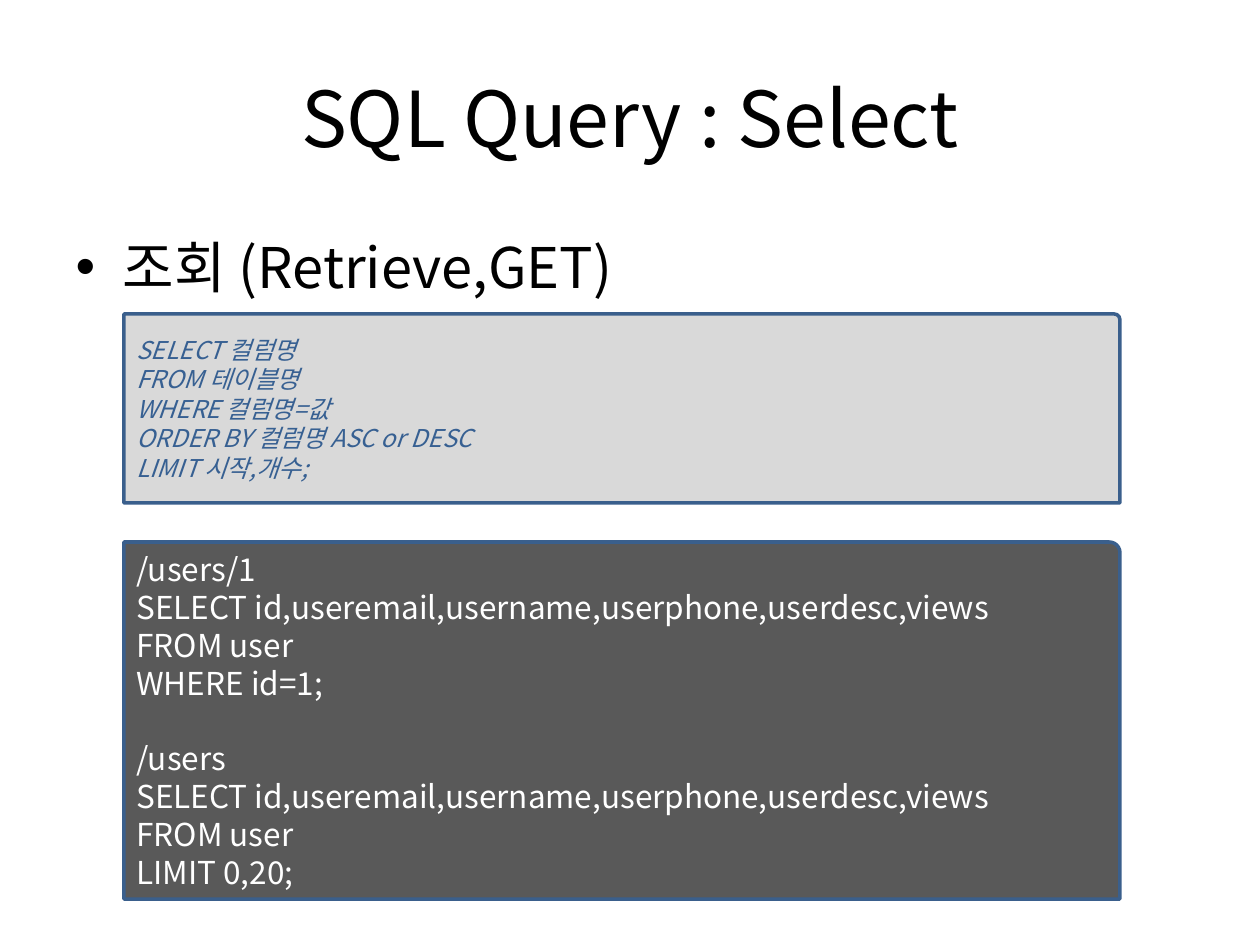
"""Build the slide on the SQL SELECT query."""
from lxml import etree
from pptx import Presentation, util as u
from pptx.dml.color import RGBColor
from pptx.enum import shapes, text
from pptx.oxml.ns import qn

PX = 914400 / 126
FONT = "Noto Sans CJK KR"
BLUE = "3A5F8C"
TITLE = "SQL Query : Select"
BULLET = "조회 (Retrieve,GET)"
COLUMNS = "SELECT id,useremail,username,userphone,userdesc,views"
EXAMPLES = [
    ["/users/1", COLUMNS, "FROM user", "WHERE id=1;"],
    ["/users", COLUMNS, "FROM user", "LIMIT 0,20;"],
]
SYNTAX = [[
    "SELECT 컬럼명",
    "FROM 테이블명",
    "WHERE 컬럼명=값",
    "ORDER BY 컬럼명 ASC or DESC",
    "LIMIT 시작,개수;",
]]
BOXES = [
    dict(groups=EXAMPLES, top=542, height=357, fill="595959", size=18, color="FFFFFF"),
    dict(groups=SYNTAX, top=314, height=189, fill="D9D9D9", size=14, color="376092", italic=True),
]


def px(n):
    return u.Emu(round(n * PX))


def rgb(value):
    return RGBColor.from_string(value)


def place(sp, left, top, width, height):
    sp.left, sp.top, sp.width, sp.height = map(px, (left, top, width, height))


def write(p, words, size, color="000000", italic=False, align=None, pitch=None, before=0):
    p.alignment = align
    p.space_before = u.Pt(before)
    if pitch:
        p.line_spacing = u.Pt(pitch)
    r = p.add_run()
    r.text = words
    f = r.font
    f.name, f.size, f.italic = FONT, u.Pt(size), italic
    f.color.rgb = rgb(color)
    etree.SubElement(r._r.get_or_add_rPr(), qn("a:ea"), typeface=FONT)


def code_box(s, groups, top, height, fill, size, color, italic=False):
    sp = s.shapes.add_shape(shapes.MSO_SHAPE.ROUND_1_RECTANGLE,
                            px(124), px(top), px(996), px(height))
    sp.adjustments[0] = 0.03
    sp.shadow.inherit = False
    sp.fill.solid()
    sp.fill.fore_color.rgb = rgb(fill)
    sp.line.color.rgb = rgb(BLUE)
    sp.line.width = u.Pt(2)
    tf = sp.text_frame
    tf.word_wrap = True
    tf.vertical_anchor = text.MSO_ANCHOR.MIDDLE
    pitch = round(size * 1.2, 1)
    for g, lines in enumerate(groups):
        for i, line in enumerate(lines):
            p = tf.add_paragraph() if g or i else tf.paragraphs[0]
            write(p, line, size, color, italic, text.PP_ALIGN.LEFT, pitch,
                  before=pitch if g and not i else 0)


def main():
    prs = Presentation()
    prs.slide_width, prs.slide_height = u.Inches(10), u.Inches(7.5)
    s = prs.slides.add_slide(prs.slide_layouts[1])
    title, body = s.placeholders
    place(title, 63, 38, 1134, 158)
    title.text_frame.vertical_anchor = text.MSO_ANCHOR.MIDDLE
    write(title.text_frame.paragraphs[0], TITLE, 44, align=text.PP_ALIGN.CENTER)
    place(body, 63, 220, 1134, 624)
    write(body.text_frame.paragraphs[0], BULLET, 32, pitch=42)
    for box in BOXES:
        code_box(s, **box)
    prs.save("out.pptx")


if __name__ == "__main__":
    main()
